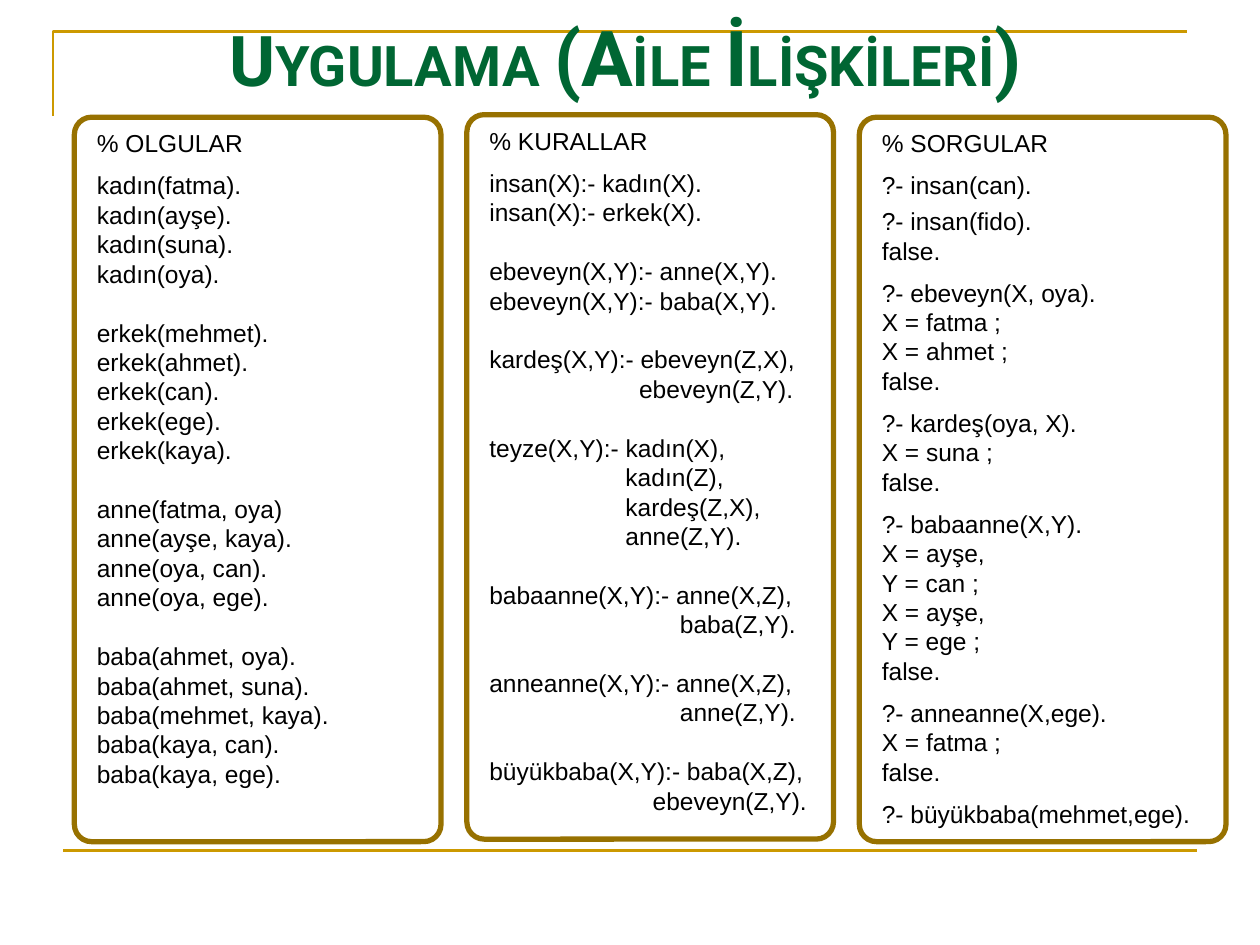
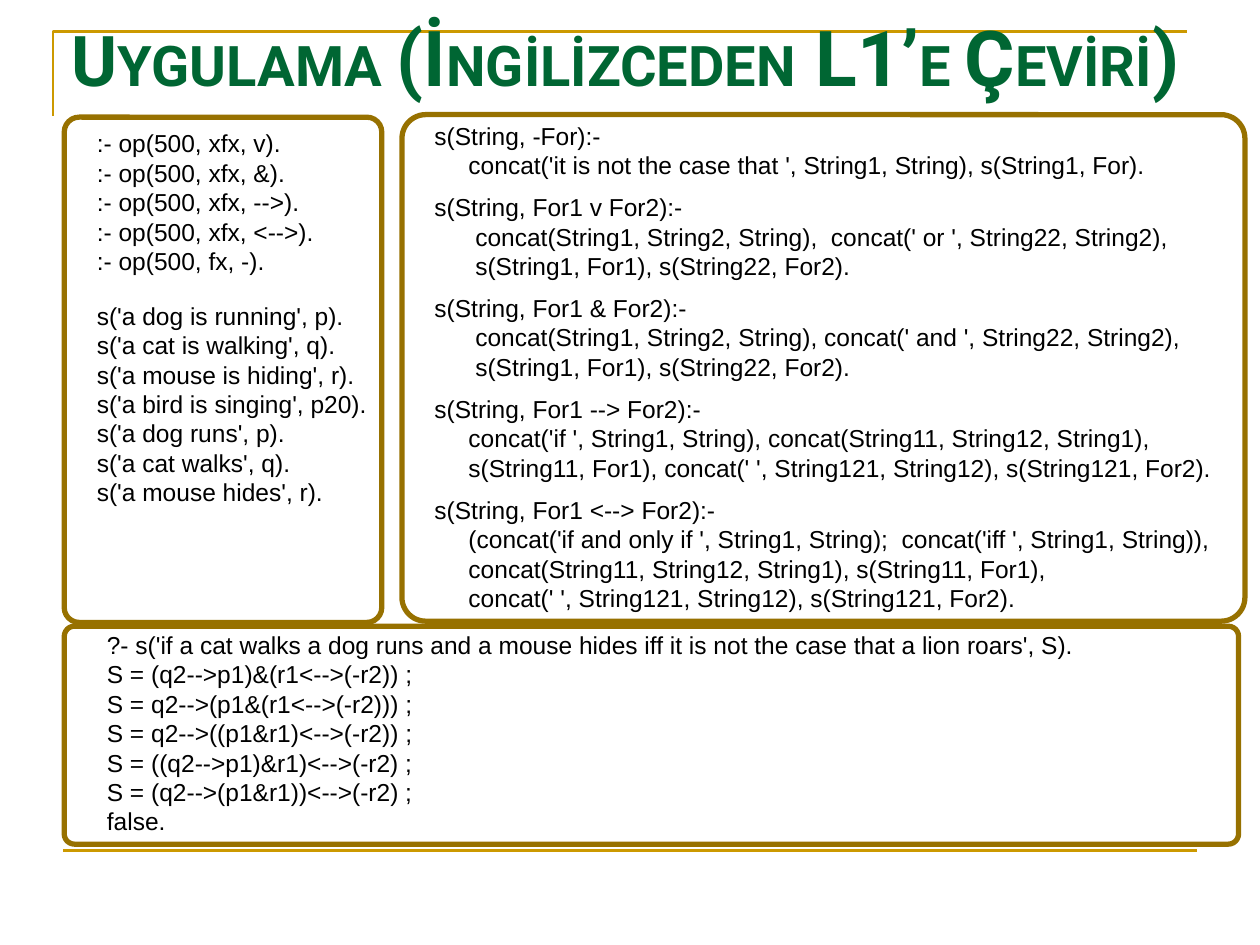
from pptx import Presentation
from pptx.dml.color import RGBColor
from pptx.enum.shapes import MSO_CONNECTOR, MSO_SHAPE
from pptx.enum.text import MSO_ANCHOR, MSO_AUTO_SIZE, PP_ALIGN
from pptx.oxml.ns import qn
from pptx.util import Inches, Pt
from lxml import etree

GOLD = RGBColor(0xCC, 0x99, 0x00)
BROWN = RGBColor(0x97, 0x71, 0x00)
GREEN = RGBColor(0x00, 0x66, 0x33)
BLACK = RGBColor(0x00, 0x00, 0x00)
ROUND = MSO_SHAPE.ROUNDED_RECTANGLE
STRAIGHT = MSO_CONNECTOR.STRAIGHT
TOP = MSO_ANCHOR.TOP
FIXED = MSO_AUTO_SIZE.NONE
CENTER = PP_ALIGN.CENTER

PITCH = 16.8    # line height of the code, points
SPACE = 3.89    # width of one blank in the code font, points
SMALL, GAP, WIDE, FULL = 3.6, 7.2, 14.4, 16.8

# Each code block is a list of (space above, lines).
FACTS = [
    (0, "% OLGULAR"),
    (GAP, """kadın(fatma).
kadın(ayşe).
kadın(suna).
kadın(oya)."""),
    (FULL, """erkek(mehmet).
erkek(ahmet).
erkek(can).
erkek(ege).
erkek(kaya)."""),
    (FULL, """anne(fatma, oya)
anne(ayşe, kaya).
anne(oya, can).
anne(oya, ege)."""),
    (FULL, """baba(ahmet, oya).
baba(ahmet, suna).
baba(mehmet, kaya).
baba(kaya, can).
baba(kaya, ege)."""),
]
RULES = [
    (0, "% KURALLAR"),
    (GAP, """insan(X):- kadın(X).
insan(X):- erkek(X)."""),
    (FULL, """ebeveyn(X,Y):- anne(X,Y).
ebeveyn(X,Y):- baba(X,Y)."""),
    (FULL, """kardeş(X,Y):- ebeveyn(Z,X),
                      ebeveyn(Z,Y)."""),
    (FULL, """teyze(X,Y):- kadın(X),
                    kadın(Z),
                    kardeş(Z,X),
                    anne(Z,Y)."""),
    (FULL, """babaanne(X,Y):- anne(X,Z),
                            baba(Z,Y)."""),
    (FULL, """anneanne(X,Y):- anne(X,Z),
                            anne(Z,Y)."""),
    (FULL, """büyükbaba(X,Y):- baba(X,Z),
                        ebeveyn(Z,Y)."""),
]
QUERIES = [
    (0, "% SORGULAR"),
    (GAP, "?- insan(can)."),
    (SMALL, """?- insan(fido).
false."""),
    (GAP, """?- ebeveyn(X, oya).
X = fatma ;
X = ahmet ;
false."""),
    (GAP, """?- kardeş(oya, X).
X = suna ;
false."""),
    (GAP, """?- babaanne(X,Y).
X = ayşe,
Y = can ;
X = ayşe,
Y = ege ;
false."""),
    (GAP, """?- anneanne(X,ege).
X = fatma ;
false."""),
    (GAP, "?- büyükbaba(mehmet,ege)."),
]
WORDS = [
    (0, """:- op(500, xfx, v).
:- op(500, xfx, &).
:- op(500, xfx, -->).
:- op(500, xfx, <-->).
:- op(500, fx, -)."""),
    (WIDE, """s('a dog is running', p).
s('a cat is walking', q).
s('a mouse is hiding', r).
s('a bird is singing', p20).
s('a dog runs', p).
s('a cat walks', q).
s('a mouse hides', r)."""),
]
GRAMMAR = [
    (0, """s(String, -For):-
     concat('it is not the case that ', String1, String), s(String1, For)."""),
    (GAP, """s(String, For1 v For2):-
      concat(String1, String2, String),  concat(' or ', String22, String2),
      s(String1, For1), s(String22, For2)."""),
    (GAP, """s(String, For1 & For2):-
      concat(String1, String2, String), concat(' and ', String22, String2),
      s(String1, For1), s(String22, For2)."""),
    (GAP, """s(String, For1 --> For2):-
     concat('if ', String1, String), concat(String11, String12, String1),
     s(String11, For1), concat(' ', String121, String12), s(String121, For2)."""),
    (GAP, """s(String, For1 <--> For2):-
     (concat('if and only if ', String1, String);  concat('iff ', String1, String)),
     concat(String11, String12, String1), s(String11, For1),
     concat(' ', String121, String12), s(String121, For2)."""),
]
ANSWERS = [
    (0, """?- s('if a cat walks a dog runs and a mouse hides iff it is not the case that a lion roars', S).
S = (q2-->p1)&(r1<-->(-r2)) ;
S = q2-->(p1&(r1<-->(-r2))) ;
S = q2-->((p1&r1)<-->(-r2)) ;
S = ((q2-->p1)&r1)<-->(-r2) ;
S = (q2-->(p1&r1))<-->(-r2) ;
false."""),
]


def inches(*sizes):
    return [Inches(size) for size in sizes]


def add_run(para, text, size, font, color, bold=False):
    run = para.add_run()
    run.text = text
    run.font.size = Pt(size)
    run.font.name = font
    run.font.bold = bold
    run.font.color.rgb = color


def add_frame(slide):
    """Draw the gold corner at the top and the gold rule at the foot."""
    pen = slide.shapes.build_freeform(*inches(0.42, 0.92), scale=1.0)
    pen.add_line_segments([inches(0.42, 0.25), inches(9.42, 0.25)], close=False)
    corner = pen.convert_to_shape()
    corner.fill.background()
    corner.shadow.inherit = False
    rule = slide.shapes.add_connector(STRAIGHT, *inches(0.5, 6.75, 9.5, 6.75))
    etree.SubElement(rule.element.spPr, qn("a:effectLst"))
    for shape in (corner, rule):
        shape.line.color.rgb = GOLD
        shape.line.width = Pt(1.5)


def set_title(slide, parts):
    title = slide.shapes.title
    title.left, title.top, title.width, title.height = inches(0.2, 0.33, 9.53, 0.81)
    tree = title.element.getparent()
    tree.append(title.element)  # bring in front of the frame
    frame = title.text_frame
    frame.vertical_anchor = TOP
    frame.auto_size = FIXED
    frame.word_wrap = True
    para = frame.paragraphs[0]
    para.alignment = CENTER
    para.line_spacing = Pt(30.8)
    for text, size in parts:
        add_run(para, text, size, "Roboto", GREEN, bold=True)


def add_slide(deck, parts):
    slide = deck.slides.add_slide(deck.slide_layouts[5])
    add_frame(slide)
    set_title(slide, parts)
    return slide


def add_box(slide, *place):
    box = slide.shapes.add_shape(ROUND, *inches(*place))
    box.adjustments[0] = 0.047
    box.shadow.inherit = False
    box.fill.background()
    box.line.color.rgb = BROWN
    box.line.width = Pt(3)


def add_code(slide, block, *place):
    """Write a code block; leading blanks of a line become its indent."""
    frame = slide.shapes.add_textbox(*inches(*place)).text_frame
    frame.word_wrap = True
    para = None
    for gap, lines in block:
        for row, line in enumerate(lines.splitlines()):
            para = frame.add_paragraph() if para else frame.paragraphs[0]
            para.line_spacing = Pt(PITCH)
            para.space_before = Pt(0 if row else gap)
            text = line.lstrip()
            depth = len(line) - len(text)
            if depth:
                props = para._p.get_or_add_pPr()
                props.set("marL", str(Pt(depth * SPACE)))
            add_run(para, text, 14, "Arial", BLACK)


def add_family(deck):
    slide = add_slide(deck, [
        ("U", 40), ("YGULAMA ", 32), ("(A", 44), ("İLE ", 32),
        ("İ", 44), ("LİŞKİLERİ", 32), (")", 44)])
    columns = [(FACTS, 0.93, 2.75, 5.52), (RULES, 0.91, 2.88, 5.62),
               (QUERIES, 0.93, 2.75, 5.71)]
    for index, (block, top, width, height) in enumerate(columns):
        left = 0.59 + index * 3.115
        add_box(slide, left, top, 2.91, 5.75)
        add_code(slide, block, left + 0.08, top + 0.04, width, height)


def add_logic(deck):
    slide = add_slide(deck, [
        ("U", 40), ("YGULAMA ", 32), ("(İ", 44), ("NGİLİZCEDEN", 32),
        (" L1’", 44), ("E ", 32), ("Ç", 44), ("EVİRİ", 32), (")", 44)])
    add_box(slide, 0.51, 0.93, 2.52, 4.01)
    add_code(slide, WORDS, 0.67, 0.97, 2.36, 3.13)
    add_box(slide, 3.19, 0.91, 6.69, 4.02)
    add_code(slide, GRAMMAR, 3.35, 0.91, 6.46, 4.17)
    add_box(slide, 0.51, 4.97, 9.32, 1.73)
    add_code(slide, ANSWERS, 0.75, 4.95, 8.74, 1.75)


def main():
    deck = Presentation()
    deck.slide_width, deck.slide_height = inches(10, 7.5)
    add_family(deck)
    add_logic(deck)
    deck.save("out.pptx")


if __name__ == "__main__":
    main()
